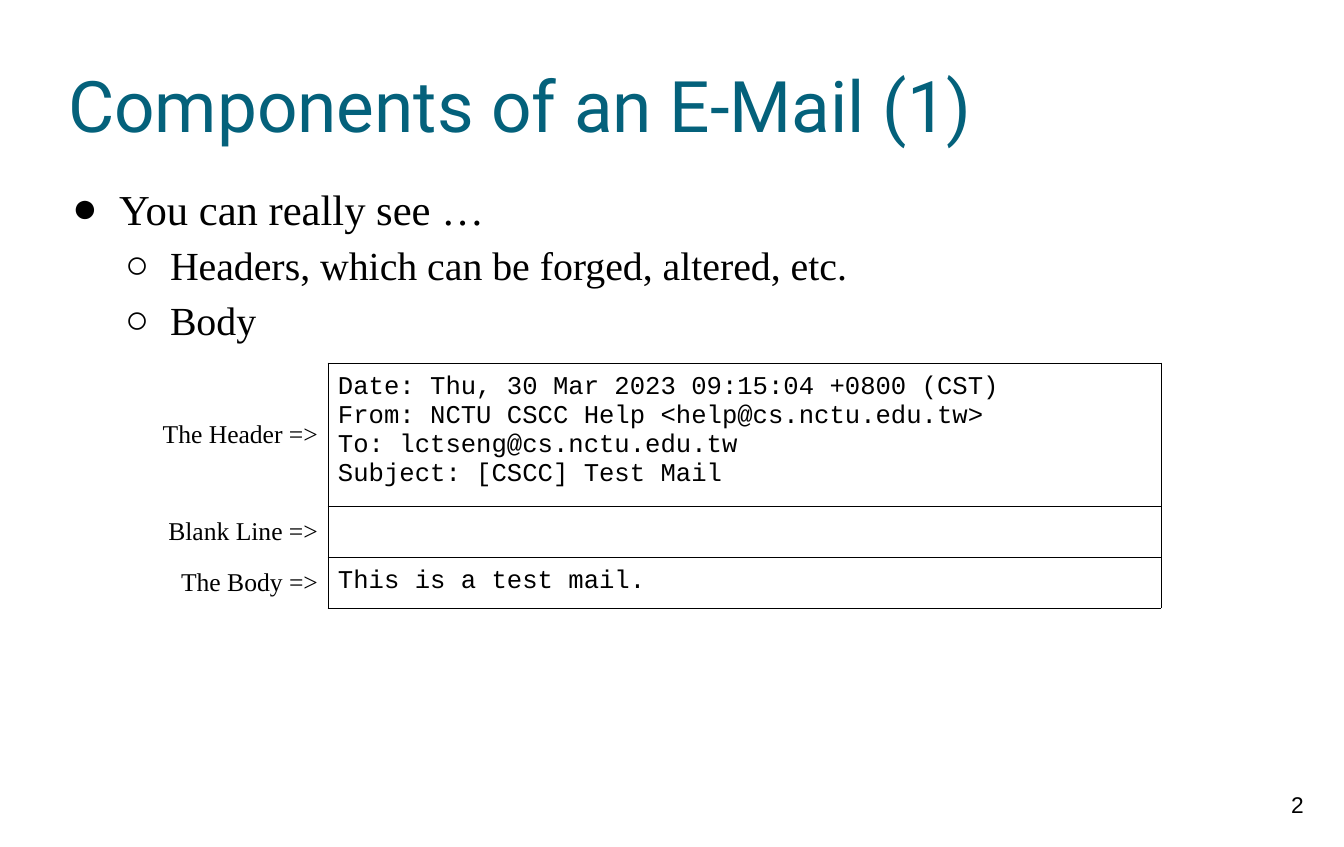
"""Build the slide on the components of an e-mail."""
from dataclasses import dataclass

from lxml.etree import SubElement
from pptx import Presentation
from pptx.dml.color import RGBColor
from pptx.enum.text import MSO_ANCHOR as Anchor, PP_ALIGN as Align
from pptx.oxml import parse_xml
from pptx.oxml.ns import nsdecls, qn
from pptx.util import Pt

PX = 914400 / 102.4


@dataclass(frozen=True)
class Theme:
    ink: str = "000000"
    title_ink: str = "04617B"
    title_font: str = "Roboto"
    text_font: str = "Times New Roman"
    code_font: str = "Courier New"
    number_font: str = "Arial"
    title_size: int = 50
    topic_size: int = 30
    point_size: int = 28
    table_size: int = 18
    number_size: int = 16
    border_width: float = 0.75


theme = Theme()


def px(length):
    return round(length * PX)


def style(paragraph, name, size, color=theme.ink):
    paragraph.font.name = name
    paragraph.font.size = Pt(size)
    paragraph.font.color.rgb = RGBColor.from_string(color)


presentation = Presentation()
presentation.slide_width, presentation.slide_height = px(1344), px(847)
slide = presentation.slides.add_slide(presentation.slide_layouts[6])

frames = {}
for name, box, inset in [
    ("number", (1257, 781, 81, 65), 10),
    ("title", (68, 34, 1209, 141), 0),
    ("body", (68, 175, 1212, 163), 0),
]:
    frame = slide.shapes.add_textbox(*map(px, box)).text_frame
    frame.word_wrap = True
    frame.margin_left = frame.margin_right = px(inset)
    frame.margin_top = frame.margin_bottom = px(inset)
    frames[name] = frame

number = frames["number"].paragraphs[0]
number.text = "2"
number.alignment = Align.CENTER
style(number, theme.number_font, theme.number_size)

title = frames["title"].paragraphs[0]
title.text = "Components of an E-Mail (1)"
frames["title"].vertical_anchor = Anchor.MIDDLE
style(title, theme.title_font, theme.title_size, theme.title_ink)

levels = [("●", 51, 47, theme.topic_size), ("○", 102, 45, theme.point_size)]
points = [
    (0, "You can really see …"),
    (1, "Headers, which can be forged, altered, etc."),
    (1, "Body"),
]
body = frames["body"]
body.text = "\n".join(text for level, text in points)
for paragraph, (level, text) in zip(body.paragraphs, points):
    bullet, margin, hanging, size = levels[level]
    paragraph.level = level
    paragraph.line_spacing = 1.15
    properties = paragraph._p.get_or_add_pPr()
    properties.set("marL", str(px(margin)))
    properties.set("indent", str(-px(hanging)))
    bullet_color = SubElement(properties, qn("a:buClr"))
    SubElement(bullet_color, qn("a:srgbClr"), val=theme.ink)
    SubElement(properties, qn("a:buFont"), typeface=theme.text_font)
    SubElement(properties, qn("a:buChar"), char=bullet)
    style(paragraph, theme.text_font, size)

mail_header = """Date: Thu, 30 Mar 2023 09:15:04 +0800 (CST)
From: NCTU CSCC Help <help@cs.nctu.edu.tw>
To: lctseng@cs.nctu.edu.tw
Subject: [CSCC] Test Mail"""
mail_parts = [
    ("The Header =>", mail_header, 143),
    ("Blank Line =>", "", 51),
    ("The Body =>", "This is a test mail.", 51),
]
column_widths = [183, 833]
columns = [
    (theme.text_font, Align.RIGHT, Anchor.MIDDLE, ["R"]),
    (theme.code_font, Align.LEFT, Anchor.TOP, ["L", "R", "T", "B"]),
]
mail_table = slide.shapes.add_table(
    len(mail_parts), len(columns), px(145), px(363),
    px(sum(column_widths)), px(sum(height for *_, height in mail_parts)),
).table
mail_table.first_row = mail_table.horz_banding = False
for column, width in zip(mail_table.columns, column_widths):
    column.width = px(width)
for row, (label, content, height) in zip(mail_table.rows, mail_parts):
    row.height = px(height)
    for cell, text, (font, alignment, anchor, sides) in zip(row.cells, (label, content), columns):
        cell.text = text
        cell.vertical_anchor = anchor
        cell.margin_left = cell.margin_right = px(10)
        cell.margin_top = cell.margin_bottom = px(10)
        cell_properties = cell._tc.get_or_add_tcPr()
        for side in ["L", "R", "T", "B"]:
            paint = "<a:noFill/>"
            if side in sides:
                paint = f'<a:solidFill><a:srgbClr val="{theme.ink}"/></a:solidFill>'
            cell_properties.append(parse_xml(
                f'<a:ln{side} {nsdecls("a")} w="{Pt(theme.border_width)}">{paint}</a:ln{side}>'
            ))
        cell.fill.background()
        for paragraph in cell.text_frame.paragraphs:
            paragraph.alignment = alignment
            style(paragraph, font, theme.table_size)

presentation.save("out.pptx")
